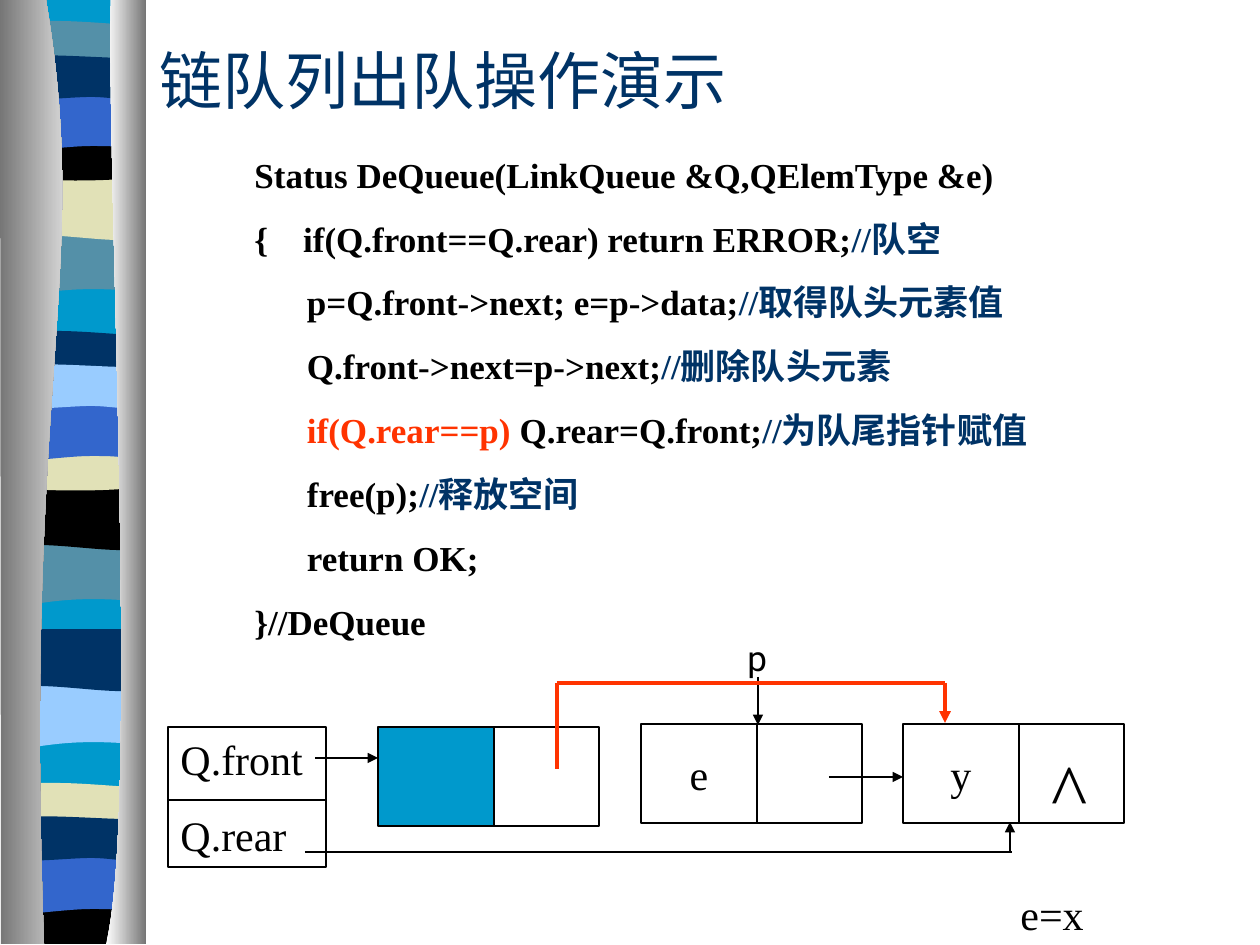
from lxml.etree import SubElement
from pptx import Presentation
from pptx.dml.color import RGBColor
from pptx.enum.shapes import MSO_CONNECTOR, MSO_SHAPE
from pptx.enum.text import MSO_ANCHOR, PP_ALIGN
from pptx.oxml.ns import qn
from pptx.util import Emu, Pt

SCALE = 914400 / 126  # EMU per px
WIDTH, HEIGHT = 1260, 945
SERIF, SANS = "Times New Roman", "Roboto"
BLACK, NAVY, RED, WHITE, GREY = "000000", "003366", "FF3300", "FFFFFF", "767676"
CYAN, TEAL, BLUE, CREAM, SKY = "0099CC", "5490A8", "3366CC", "E1E1B7", "99CCFF"

# Edges of the ribbon bands: two points for a line, else Bezier points,
# each as x and offset from the band's y
EDGES = {
    "flat": [(7, 0), (144, 0)],
    "left bump": [(7, 0), (15, -6), (37, -5), (59, -5), (82, -5), (126, -1), (144, 0)],
    "low bump": [(7, 0), (26, -6), (100, 0), (122, 0), (145, 0), (139, 0), (144, 0)],
    "two dips": [(7, 0), (21, 6), (68, 0), (91, 0), (113, 0), (135, 6), (144, 0)],
    "arch": [(7, 0), (27, 0), (68, -6), (91, -6), (113, -6), (122, -6), (144, 0)],
    "sag": [(7, 0), (91, 6), (115, 0), (144, 0)],
    "bowl": [(7, 0), (30, 6), (121, 6), (144, 0)],
    "wave": [(7, 0), (49, -8), (121, 10), (144, 0)],
    "counterwave": [(7, 0), (30, 10), (49, -10), (144, 0)],
}
# Bands from back to front: colour, upper edge and y, lower edge and y
BANDS = [
    (CYAN, "flat", 0, "flat", 944),
    (TEAL, "flat", 233, "counterwave", 292), (CREAM, "flat", 178, "wave", 237),
    (TEAL, "left bump", 26, "bowl", 57), (BLACK, "sag", 136, "bowl", 176),
    (BLUE, "flat", 93, "arch", 152), (NAVY, "low bump", 58, "two dips", 97),
    (TEAL, "flat", 543, "counterwave", 602), (BLACK, "flat", 486, "wave", 547),
    (NAVY, "left bump", 336, "bowl", 367), (CREAM, "sag", 445, "bowl", 486),
    (BLUE, "flat", 403, "arch", 462), (SKY, "low bump", 367, "two dips", 406),
    (SKY, "flat", 685, "counterwave", 745), (NAVY, "flat", 629, "wave", 688),
    (CREAM, "left bump", 788, "bowl", 818), (BLACK, "sag", 897, "flat", 944),
    (BLUE, "flat", 856, "arch", 915), (NAVY, "low bump", 819, "two dips", 858),
]

# Columns: curved inner edge, straight outer edge, gradient left to right
COLUMNS = [
    ([(46, 0), (92, 273), (23, 373), (44, 944)], [(1, 944), (0, 0)], (GREY, WHITE)),
    ([(111, 0), (106, 158), (140, 814), (106, 944)], [(146, 944), (146, 0)],
     (WHITE, GREY)),
]

CODE = [
    [("Status DeQueue(LinkQueue &Q,QElemType &e)", BLACK)],
    [("{    if(Q.front==Q.rear) return ERROR;", BLACK), ("//队空", NAVY)],
    [("      p=Q.front->next; e=p->data;", BLACK), ("//取得队头元素值", NAVY)],
    [("      Q.front->next=p->next;", BLACK), ("//删除队头元素", NAVY)],
    [("      ", BLACK), ("if(Q.rear==p)", RED), (" Q.rear=Q.front;", BLACK),
     ("//为队尾指针赋值", NAVY)],
    [("      free(p);", BLACK), ("//释放空间", NAVY)],
    [("      return OK;", BLACK)],
    [("}//DeQueue", BLACK)],
]

# Labels: text, box, size, font, colour
TITLE = ("链队列出队操作演示", (147, 32, 646, 94), 36, SERIF, NAVY)
LABELS = [
    ("^", (1039, 735, 63, 106), 44, SERIF, BLACK),
    ("p", (735, 630, 105, 55), 20, SANS, BLACK),
    ("e=x", (1008, 882, 105, 63), 24, SERIF, BLACK),
]

# List nodes: left, top, fill of the data cell, text of the data cell
NODES = [(378, 727, CYAN, ""), (641, 724, None, "e"), (903, 724, None, "y")]
DATA_WIDTH, LINK_WIDTH, NODE_HEIGHT = 116, 105, 99

# Lines: from, to, colour, width in points, arrowhead at the end
LINES = [
    ((168, 800), (326, 800), BLACK, 0.75, False),
    ((315, 758), (378, 758), BLACK, 0.75, True),
    ((305, 852), (1012, 852), BLACK, 1, False),
    ((1010, 852), (1010, 822), BLACK, 1, True),
    ((829, 777), (903, 777), BLACK, 1.5, True),
    ((758, 677), (758, 725), BLACK, 0.75, True),
    ((557, 769), (557, 683), RED, 2.25, False),
    ((557, 683), (945, 683), RED, 2.25, False),
    ((945, 683), (945, 723), RED, 2.25, True),
]


def px(value):
    return Emu(round(value * SCALE))


def rgb(value):
    return RGBColor.from_string(value)


def add_outline(edges):
    """Draw edges one after another; an edge of more than two points is curved."""
    corners = [(px(x), px(y)) for edge in edges for x, y in edge]
    builder = slide.shapes.build_freeform(*corners[0], scale=1.0)
    builder.add_line_segments(corners[1:], close=True)
    shape = builder.convert_to_shape()
    shape.shadow.inherit = False
    shape.line.fill.background()
    segments = list(shape._element.iter(qn("a:lnTo")))
    position = 0
    for edge in edges:
        if len(edge) > 2:
            for start in range(position, position + len(edge) - 1, 3):
                first, *others = segments[start:start + 3]
                first.tag = qn("a:cubicBezTo")
                for other in others:
                    first.append(other[0])
                    other.getparent().remove(other)
        position += len(edge)
    return shape


def edge_at(kind, y):
    return [(x, y + offset) for x, offset in EDGES[kind]]


def write_lines(text_frame, lines, size, font, bold=False, space=0, align=PP_ALIGN.LEFT):
    for index, runs in enumerate(lines):
        paragraph = text_frame.add_paragraph() if index else text_frame.paragraphs[0]
        paragraph.alignment = align
        if index:
            paragraph.space_before = Pt(space)
        for text, color in runs:
            run = paragraph.add_run()
            run.text = text
            run.font.size, run.font.name, run.font.bold = Pt(size), font, bold
            run.font.color.rgb = rgb(color)


def add_text(box, lines, size, font, **options):
    text_frame = slide.shapes.add_textbox(*map(px, box)).text_frame
    text_frame.word_wrap = True
    write_lines(text_frame, lines, size, font, **options)
    return text_frame


def add_cell(box, fill=None):
    shape = slide.shapes.add_shape(MSO_SHAPE.RECTANGLE, *map(px, box))
    shape.shadow.inherit = False
    if fill:
        shape.fill.solid()
        shape.fill.fore_color.rgb = rgb(fill)
    else:
        shape.fill.background()
    shape.line.color.rgb, shape.line.width = rgb(BLACK), Pt(0.75)
    return shape


def add_line(start, end, color, width, arrow):
    line = slide.shapes.add_connector(MSO_CONNECTOR.STRAIGHT, *map(px, start + end))
    line.line.color.rgb, line.line.width = rgb(color), Pt(width)
    if arrow:
        SubElement(line.line._get_or_add_ln(), qn("a:tailEnd"), type="triangle")
    SubElement(line._element.spPr, qn("a:effectLst"))


presentation = Presentation()
presentation.slide_width, presentation.slide_height = px(WIDTH), px(HEIGHT)
slide = presentation.slides.add_slide(presentation.slide_layouts[6])

# Ribbon
for color, upper, top, lower, bottom in BANDS:
    band = add_outline([edge_at(upper, top), edge_at(lower, bottom)[::-1]])
    band.fill.solid()
    band.fill.fore_color.rgb = rgb(color)

# Columns on both sides of the ribbon
for inner_edge, outer_edge, colors in COLUMNS:
    column = add_outline([inner_edge, outer_edge])
    column.fill.gradient()
    column.fill.gradient_angle = 0
    for stop, position, color in zip(column.fill.gradient_stops, (0, 1), colors):
        stop.position, stop.color.rgb = position, rgb(color)

# Title and code
text, box, size, font, color = TITLE
add_text(box, [[(text, color)]], size, font).vertical_anchor = MSO_ANCHOR.MIDDLE
add_text((242, 147, 903, 503), CODE, 20, SERIF, bold=True, space=12.5)

# Queue head with its two pointers
queue = add_cell((168, 727, 158, 140)).text_frame
queue.word_wrap, queue.vertical_anchor = True, MSO_ANCHOR.TOP
write_lines(queue, [[("Q.front", BLACK)], [("Q.rear", BLACK)]], 24, SERIF, space=15)

# List nodes
for left, top, fill, text in NODES:
    data = add_cell((left, top, DATA_WIDTH, NODE_HEIGHT), fill)
    add_cell((left + DATA_WIDTH, top, LINK_WIDTH, NODE_HEIGHT))
    if text:
        data.text_frame.word_wrap = False
        data.text_frame.vertical_anchor = MSO_ANCHOR.MIDDLE
        write_lines(data.text_frame, [[(text, BLACK)]], 24, SERIF, align=PP_ALIGN.CENTER)

# Labels and pointers
for text, box, size, font, color in LABELS:
    add_text(box, [[(text, color)]], size, font)
for line in LINES:
    add_line(*line)

presentation.save("out.pptx")
